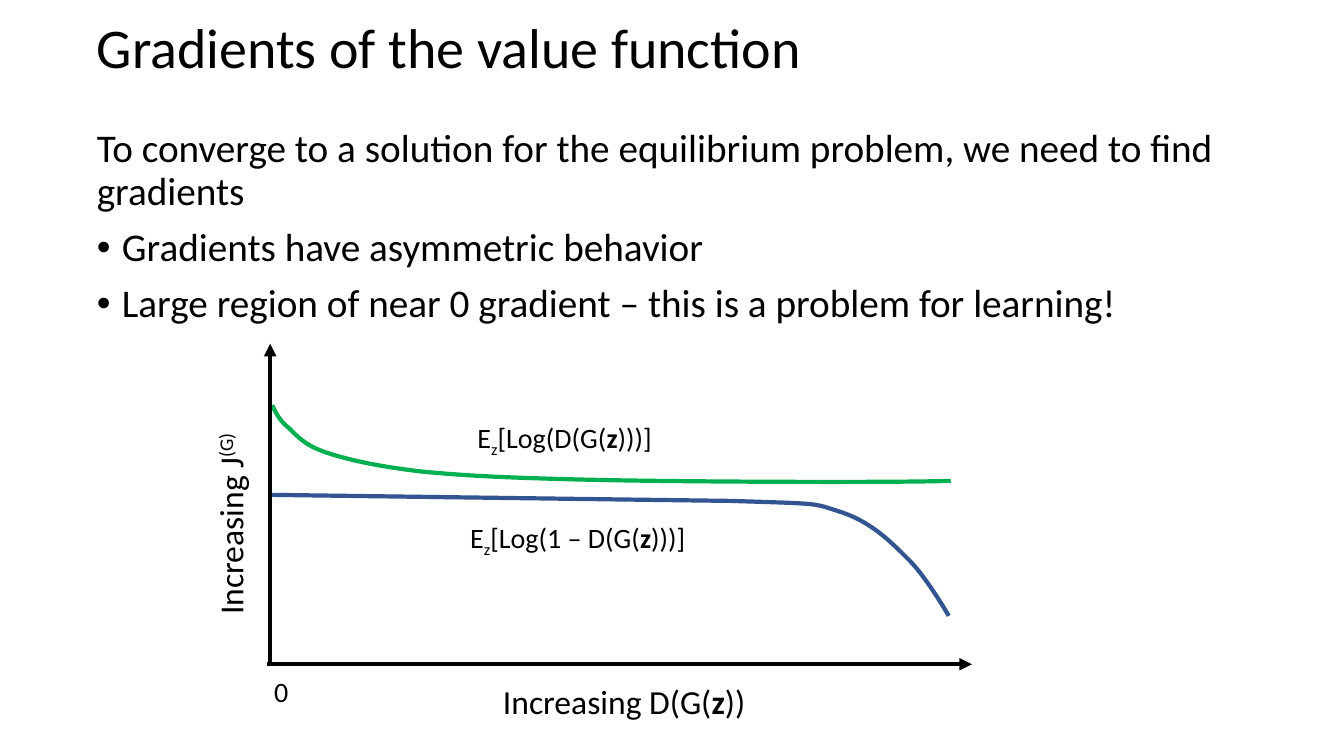
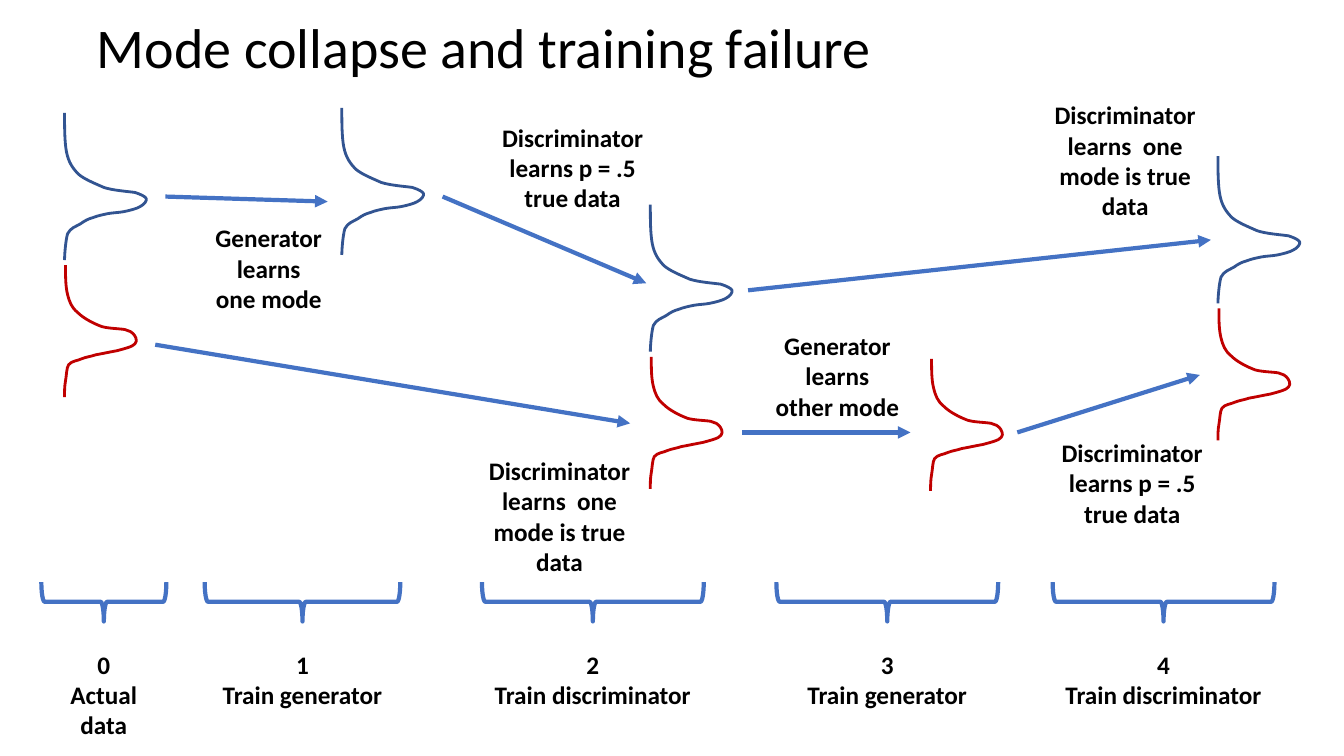
"""Build two slides on GAN training: value function gradients and mode collapse."""
from lxml import etree
from pptx import Presentation
from pptx.dml.color import RGBColor
from pptx.enum import shapes, text
from pptx.oxml.ns import qn
from pptx.util import Inches, Pt

COLORS = {"ink": "000000", "navy": "325491", "green": "00B050",
          "red": "C00000", "blue": "4472C4"}
BASELINES = {"sub": "-25000", "sup": "30000"}
CENTER, LEFT = text.PP_ALIGN.CENTER, text.PP_ALIGN.LEFT


def write(frame, paragraphs, size=18, bold=False, align=CENTER, spacing=1.0, before=0, bullets=None):
    """Fill a frame; a paragraph is a string or a list of strings and (string, style) runs."""
    frame.word_wrap = True
    frame.auto_size = text.MSO_AUTO_SIZE.NONE
    frame.vertical_anchor = text.MSO_ANCHOR.TOP
    for number, content in enumerate(paragraphs):
        paragraph = frame.paragraphs[0] if number == 0 else frame.add_paragraph()
        if bullets:
            bulleted = bullets[number]
            properties = paragraph._p.get_or_add_pPr()
            indent = Inches(0.25) if bulleted else 0
            properties.set("marL", str(indent))
            properties.set("indent", str(-indent))
            if bulleted:
                etree.SubElement(properties, qn("a:buFont")).set("typeface", "Arial")
                etree.SubElement(properties, qn("a:buChar")).set("char", "•")
            else:
                etree.SubElement(properties, qn("a:buNone"))
        paragraph.alignment = align
        paragraph.line_spacing = spacing
        paragraph.space_before = Pt(before if number else 0)
        for part in [content] if isinstance(content, str) else content:
            words, style = (part, None) if isinstance(part, str) else part
            run = paragraph.add_run()
            run.text = words
            run.font.name = "Calibri"
            run.font.size = Pt(size)
            run.font.bold = bold or style == "bold"
            run.font.color.rgb = RGBColor.from_string(COLORS["ink"])
            if style in BASELINES:
                run._r.get_or_add_rPr().set("baseline", BASELINES[style])


def draw_curve(slide, points, color, weight):
    """Draw an open chain of cubic Bezier segments that share their end points."""
    points = [(Inches(x), Inches(y)) for x, y in points]
    builder = slide.shapes.build_freeform(*points[0])
    builder.add_line_segments(points[3::3], close=False)
    curve = builder.convert_to_shape()
    for number, segment in enumerate(list(curve._element.iter(qn("a:lnTo")))):
        segment.tag = qn("a:cubicBezTo")
        segment.clear()
        for x, y in points[3 * number + 1:3 * number + 4]:
            point = etree.SubElement(segment, qn("a:pt"))
            point.set("x", str(x - curve.left))
            point.set("y", str(y - curve.top))
    curve.shadow.inherit = False
    curve.fill.background()
    curve.line.color.rgb = RGBColor.from_string(COLORS[color])
    curve.line.width = Pt(weight)


prs = Presentation()
prs.slide_width, prs.slide_height = Inches(13.33), Inches(7.5)

slides = []
for layout, heading in [(1, "Gradients of the value function"),
                        (5, "Mode collapse and training failure")]:
    slide = prs.slides.add_slide(prs.slide_layouts[layout])
    title = slide.shapes.title
    title.left, title.top, title.width, title.height = map(Inches, (0.86, 0.15, 11.5, 0.95))
    write(title.text_frame, [heading], size=40, align=LEFT, spacing=0.9)
    slides.append(slide)
gradients, collapse = slides

body = gradients.placeholders[1]
body.left, body.top, body.width, body.height = map(Inches, (0.86, 1.23, 12.02, 6.12))
write(body.text_frame, [
    "To converge to a solution for the equilibrium problem, we need to find gradients",
    "Gradients have asymmetric behavior",
    "Large region of near 0 gradient – this is a problem for learning!",
], size=28, align=LEFT, spacing=0.9, before=10, bullets=[False, True, True])

saturating_loss = [
    (2.7, 4.91), (4.2, 4.93), (5.7, 4.95), (7.25, 4.97),
    (8.19, 5), (8.05, 4.99), (8.34, 5.08), (8.64, 5.18), (8.83, 5.37), (9, 5.54),
    (9.18, 5.71), (9.41, 6.11), (9.41, 6.11)]
non_saturating_loss = [
    (2.7, 4.02), (2.74, 4.1), (2.77, 4.17), (2.87, 4.25),
    (2.96, 4.34), (3.04, 4.43), (3.27, 4.5), (3.49, 4.57), (3.77, 4.63), (4.2, 4.68),
    (4.64, 4.72), (5, 4.74), (5.87, 4.76), (6.74, 4.78), (8.86, 4.79), (9.43, 4.77)]
first_mode = [
    (0, 0), (0, 0.14), (0, 0.29), (0.02, 0.39), (0.04, 0.49), (0.08, 0.55), (0.14, 0.61),
    (0.2, 0.66), (0.3, 0.7), (0.39, 0.74), (0.48, 0.77), (0.63, 0.78), (0.7, 0.79),
    (0.76, 0.81), (0.8, 0.83), (0.81, 0.85), (0.82, 0.87), (0.79, 0.91), (0.75, 0.93),
    (0.72, 0.95), (0.64, 0.97), (0.59, 0.98), (0.54, 0.99), (0.48, 0.99), (0.43, 1),
    (0.38, 1.01), (0.33, 1.02), (0.28, 1.04), (0.24, 1.05), (0.2, 1.07), (0.16, 1.1),
    (0.11, 1.13), (0.06, 1.14), (0.03, 1.2), (0.01, 1.27), (0, 1.41), (0, 1.46)]
second_mode = [
    (0, 0), (0, 0.11), (0, 0.21), (0.02, 0.29), (0.04, 0.37), (0.06, 0.42), (0.12, 0.47),
    (0.18, 0.53), (0.28, 0.58), (0.36, 0.61), (0.43, 0.63), (0.54, 0.63), (0.59, 0.64),
    (0.64, 0.66), (0.66, 0.66), (0.67, 0.68), (0.69, 0.7), (0.72, 0.75), (0.69, 0.78),
    (0.67, 0.81), (0.58, 0.83), (0.51, 0.85), (0.45, 0.86), (0.36, 0.88), (0.3, 0.89),
    (0.24, 0.91), (0.21, 0.91), (0.16, 0.93), (0.12, 0.95), (0.06, 0.95), (0.03, 0.99),
    (0.01, 1.02), (0.01, 1.1), (0, 1.15), (-0.01, 1.2), (-0.01, 1.26), (-0.01, 1.31)]

draw_curve(gradients, saturating_loss, "navy", 3)
draw_curve(gradients, non_saturating_loss, "green", 3)
for mode, color, origins in [
    (first_mode, "navy", [(0.64, 1.12), (3.39, 1.07), (6.45, 2.03), (12.08, 1.55)]),
    (second_mode, "red", [(0.65, 2.63), (6.46, 3.54), (9.24, 3.56), (12.09, 3.06)]),
]:
    for left, top in origins:
        draw_curve(collapse, [(left + x, top + y) for x, y in mode], color, 2)

for slide, color, routes in [
    (gradients, "ink", [(2.65, 6.59, 9.64, 6.59), (2.68, 6.59, 2.68, 3.41)]),
    (collapse, "blue", [
        (1.64, 1.95, 3.25, 2), (4.39, 1.95, 6.41, 2.81), (1.54, 3.42, 6.25, 4.2),
        (7.36, 4.29, 9.03, 4.29), (7.42, 2.88, 12.01, 2.38), (10.09, 4.29, 11.9, 3.72)]),
]:
    for route in routes:
        arrow = slide.shapes.add_connector(shapes.MSO_CONNECTOR.STRAIGHT, *map(Inches, route))
        arrow.line.color.rgb = RGBColor.from_string(COLORS[color])
        arrow.line.width = Pt(3)
        etree.SubElement(arrow.line._get_or_add_ln(), qn("a:tailEnd")).set("type", "triangle")
        etree.SubElement(arrow._element.spPr, qn("a:effectLst"))

one_mode_true = ["Discriminator learns  one mode is true data"]
coin_flip = ["Discriminator learns p = .5 true data"]
labels = [
    (gradients, (4.55, 6.71, 3.28, 0.5), [["Increasing D(G(", ("z", "bold"), "))"]], 24, 0),
    (gradients, (0.64, 4.95, 3.28, 0.5), [["Increasing J", ("(G)", "sup")]], 24, 270),
    (gradients, (4.19, 5.11, 3.08, 0.44),
     [["E", ("z", "sub"), "[Log(1 – D(G(", ("z", "bold"), ")))]"]], 20, 0),
    (gradients, (4.06, 4.12, 3.08, 0.44),
     [["E", ("z", "sub"), "[Log(D(G(", ("z", "bold"), ")))]"]], 20, 0),
    (gradients, (2.54, 6.64, 0.5, 0.44), ["0"], 20, 0),
    (collapse, (1.94, 2.16, 1.45, 1.01), ["Generator learns", "one mode"], 18, 0),
    (collapse, (7.58, 3.23, 1.45, 1.01), ["Generator learns", "other mode"], 18, 0),
    (collapse, (4.65, 4.47, 1.8, 1.31), one_mode_true, 18, 0),
    (collapse, (10.33, 0.94, 1.66, 1.31), one_mode_true, 18, 0),
    (collapse, (4.78, 1.16, 1.8, 1.01), coin_flip, 18, 0),
    (collapse, (10.33, 4.29, 1.8, 1.01), coin_flip, 18, 0),
]

BRACE_DEPTH, BRACE_MIDDLE = 0.39, 5.97
phases = [(0.41, 1.24, 1.01, "Actual data"), (2.03, 1.94, 0.71, "Train generator"),
          (4.78, 2.2, 0.71, "Train discriminator"), (7.7, 2.2, 0.71, "Train generator"),
          (10.44, 2.2, 0.71, "Train discriminator")]
for number, (left, width, height, phase) in enumerate(phases):
    labels.append((collapse, (left, 6.39, width, height), [str(number), phase], 18, 0))
    brace = collapse.shapes.add_shape(
        shapes.MSO_SHAPE.RIGHT_BRACE,
        Inches(left + (width - BRACE_DEPTH) / 2), Inches(BRACE_MIDDLE - width / 2),
        Inches(BRACE_DEPTH), Inches(width))
    brace.rotation = 90
    brace.shadow.inherit = False
    brace.fill.background()
    brace.line.color.rgb = RGBColor.from_string(COLORS["blue"])
    brace.line.width = Pt(3)

for slide, place, paragraphs, size, rotation in labels:
    label = slide.shapes.add_textbox(*map(Inches, place))
    label.rotation = rotation
    write(label.text_frame, paragraphs, size=size, bold=slide is collapse)

prs.save("out.pptx")
